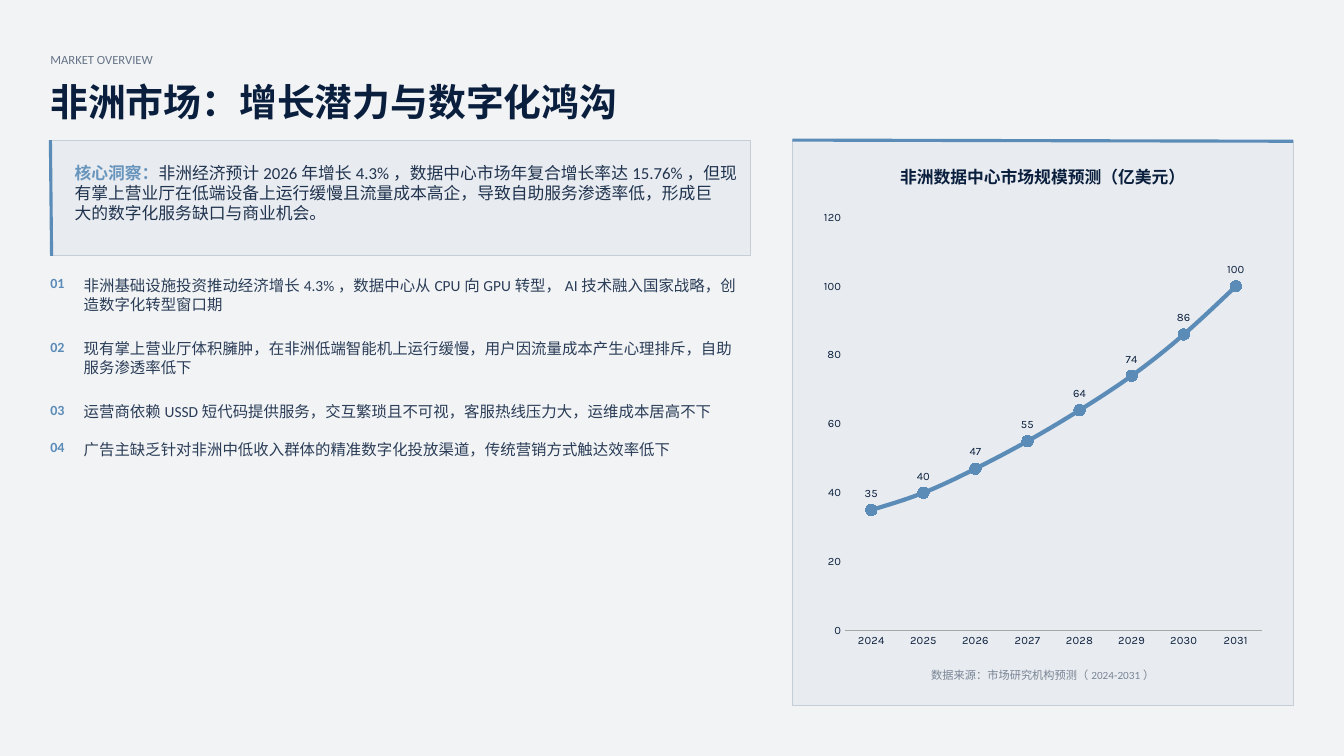
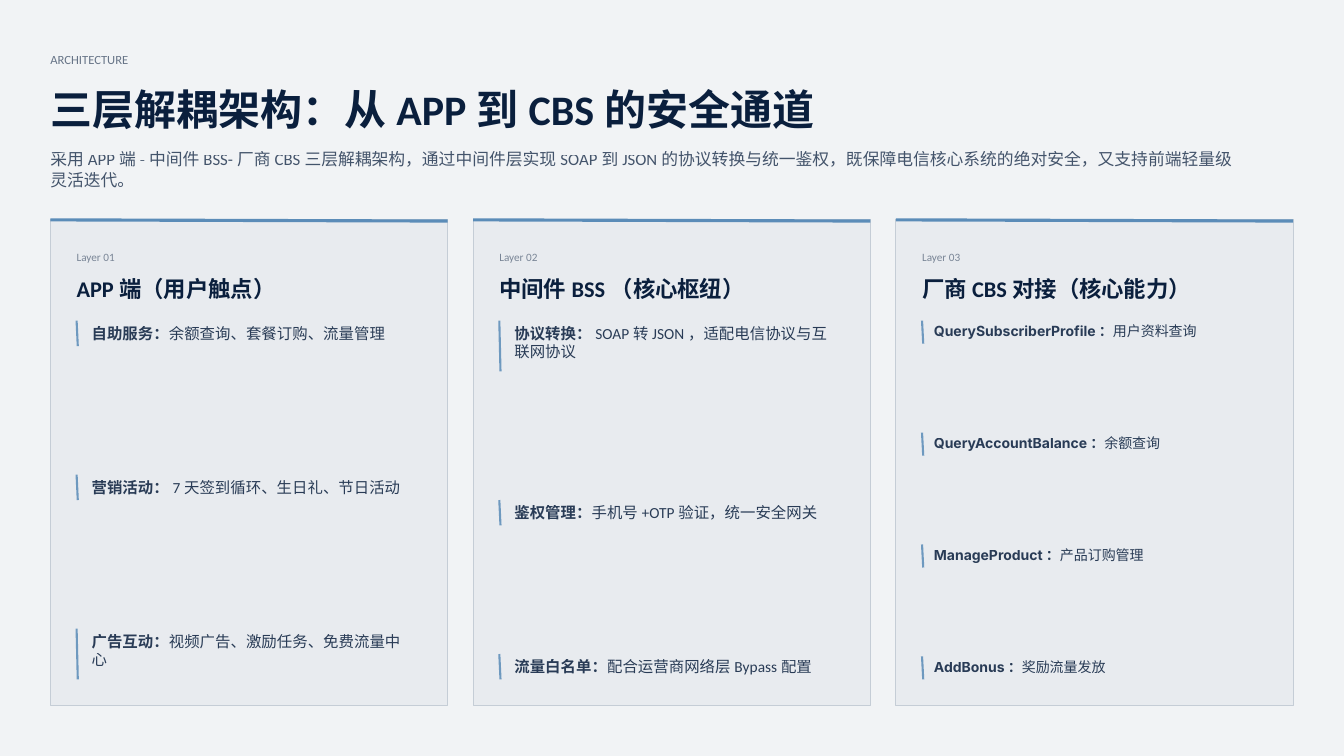
from dataclasses import dataclass

from lxml import etree
from pptx import Presentation
from pptx.chart.data import CategoryChartData
from pptx.dml.color import RGBColor
from pptx.enum.chart import XL_CHART_TYPE, XL_LABEL_POSITION, XL_MARKER_STYLE, XL_TICK_MARK
from pptx.enum.shapes import MSO_CONNECTOR, MSO_SHAPE
from pptx.enum.text import MSO_ANCHOR, PP_ALIGN
from pptx.oxml.ns import qn
from pptx.util import Cm, Pt

RECT = MSO_SHAPE.RECTANGLE
STRAIGHT = MSO_CONNECTOR.STRAIGHT
LEFT, CENTER = PP_ALIGN.LEFT, PP_ALIGN.CENTER
TOP, MIDDLE = MSO_ANCHOR.TOP, MSO_ANCHOR.MIDDLE
NO_TICK = XL_TICK_MARK.NONE

COLORS = {
    "page": "F1F3F5",
    "panel": "E8EBEF",
    "border": "C5CDD6",
    "accent": "5B8CB8",
    "ink": "0A1F3D",
    "axis": "A6A6A6",
    "black": "000000",
}
BODY_FONT, CODE_FONT, CHART_FONT = "Calibri", "Inter", "Karla"

# Shared grid, in centimetres
MARGIN = 1.27
CONTENT_W = 31.32
RIGHT = MARGIN + CONTENT_W
PANEL_BOTTOM = 17.78
SKEW = 0.03


@dataclass(frozen=True)
class Style:
    size: float
    color: str = "ink"
    alpha: int = 100
    bold: bool = False
    align: PP_ALIGN = LEFT
    anchor: MSO_ANCHOR = TOP


@dataclass(frozen=True)
class Item:
    label: str
    text: str


@dataclass(frozen=True)
class Layer:
    title: str
    items: tuple[Item, ...]
    size: float = 11
    font: str = BODY_FONT
    line_h: float = 0.64
    indent: float = 0.38
    drop: float = 0.08


EYEBROW = Style(9, alpha=60)
LEAD = Style(12, alpha=75)
INSIGHT = Style(12, alpha=90)
NUMBER = Style(10, "accent", bold=True)
POINT = Style(11, alpha=85)
CHART_TITLE = Style(12, bold=True, align=CENTER, anchor=MIDDLE)
CHART_SOURCE = Style(8, alpha=50, align=CENTER, anchor=MIDDLE)
LAYER_TAG = Style(8, alpha=50)
LAYER_TITLE = Style(16, bold=True)

POINTS = (
    "非洲基础设施投资推动经济增长4.3%，数据中心从CPU向GPU转型，AI技术融入国家战略，创\n造数字化转型窗口期",
    "现有掌上营业厅体积臃肿，在非洲低端智能机上运行缓慢，用户因流量成本产生心理排斥，自助\n服务渗透率低下",
    "运营商依赖USSD短代码提供服务，交互繁琐且不可视，客服热线压力大，运维成本居高不下",
    "广告主缺乏针对非洲中低收入群体的精准数字化投放渠道，传统营销方式触达效率低下",
)
MARKET = {"2024": 35, "2025": 40, "2026": 47, "2027": 55,
          "2028": 64, "2029": 74, "2030": 86, "2031": 100}
LAYERS = (
    Layer("APP端（用户触点）", (
        Item("自助服务：", "余额查询、套餐订购、流量管理"),
        Item("营销活动：", "7天签到循环、生日礼、节日活动"),
        Item("广告互动：", "视频广告、激励任务、免费流量中\n心"),
    )),
    Layer("中间件BSS（核心枢纽）", (
        Item("协议转换：", "SOAP转JSON，适配电信协议与互\n联网协议"),
        Item("鉴权管理：", "手机号+OTP验证，统一安全网关"),
        Item("流量白名单：", "配合运营商网络层Bypass配置"),
    )),
    Layer("厂商CBS对接（核心能力）", (
        Item("QuerySubscriberProfile：", "用户资料查询"),
        Item("QueryAccountBalance：", "余额查询"),
        Item("ManageProduct：", "产品订购管理"),
        Item("AddBonus：", "奖励流量发放"),
    ), size=10, font=CODE_FONT, line_h=0.58, indent=0.3, drop=0.05),
)


def rgb(name: str) -> RGBColor:
    return RGBColor.from_string(COLORS[name])


def set_alpha(element, percent: int) -> None:
    """Make every plain colour below the element translucent."""
    if percent < 100:
        for clr in element.iter(qn("a:srgbClr")):
            etree.SubElement(clr, qn("a:alpha")).set("val", str(percent * 1000))


def set_font(font, size: float, color: str, name: str = BODY_FONT) -> None:
    font.size, font.name = Pt(size), name
    font.color.rgb = rgb(color)


def add_text(slide, x: float, y: float, w: float, h: float, text: str, style: Style,
             label: str = "", label_font: str = BODY_FONT, label_color: str = "") -> None:
    """Text box, one paragraph a line, with an optional bold label in front."""
    tf = slide.shapes.add_textbox(Cm(x), Cm(y), Cm(w), Cm(h)).text_frame
    tf.margin_left = tf.margin_right = tf.margin_top = tf.margin_bottom = 0
    tf.word_wrap, tf.vertical_anchor = True, style.anchor
    for i, line in enumerate(text.split("\n")):
        p = tf.add_paragraph() if i else tf.paragraphs[0]
        p.alignment = style.align
        set_font(p.font, style.size, style.color)
        p.font.bold = style.bold
        if label and i == 0:
            r = p.add_run()
            r.text, r.font.bold = label, True
            if label_font != BODY_FONT:
                r.font.name = label_font
            if label_color:
                r.font.color.rgb = rgb(label_color)
        p.add_run().text = line
        set_alpha(p._p, style.alpha)


def add_panel(slide, x: float, y: float, w: float, h: float) -> None:
    sp = slide.shapes.add_shape(RECT, Cm(x), Cm(y), Cm(w), Cm(h))
    sp.shadow.inherit = False
    sp.fill.solid()
    sp.fill.fore_color.rgb = rgb("panel")
    sp.line.color.rgb = rgb("border")
    sp.line.width = Pt(0.75)


def add_rule(slide, x1: float, y1: float, x2: float, y2: float,
             width: float = 2.25, alpha: int = 100) -> None:
    cn = slide.shapes.add_connector(STRAIGHT, Cm(x1), Cm(y1), Cm(x2), Cm(y2))
    cn.line.color.rgb = rgb("accent")
    cn.line.width = Pt(width)
    set_alpha(cn._element.spPr, alpha)
    etree.SubElement(cn._element.spPr, qn("a:effectLst"))


def add_card(slide, x: float, y: float, w: float) -> None:
    """Panel down to the bottom margin with an accent rule on top."""
    add_panel(slide, x, y, w, PANEL_BOTTOM - y)
    add_rule(slide, x, y, x + w, y + SKEW)


def new_slide(prs, eyebrow: str, title: str, size: float, title_y: float):
    slide = prs.slides.add_slide(prs.slide_layouts[6])
    slide.background.fill.solid()
    slide.background.fill.fore_color.rgb = rgb("page")
    add_text(slide, MARGIN, 1.32, CONTENT_W, 0.38, eyebrow, EYEBROW)
    add_text(slide, MARGIN, title_y, CONTENT_W, 1.15, title, Style(size, bold=True))
    return slide


def add_market_chart(slide, x: float, y: float, w: float, h: float) -> None:
    data = CategoryChartData()
    data.categories = list(MARKET)
    data.add_series("市场规模", list(MARKET.values()))
    chart = slide.shapes.add_chart(
        XL_CHART_TYPE.LINE_MARKERS, Cm(x), Cm(y), Cm(w), Cm(h), data).chart
    chart.has_title = chart.has_legend = False
    set_font(chart.font, 10, "black")

    # Axes
    cat, val = chart.category_axis, chart.value_axis
    for axis in (cat, val):
        axis.major_tick_mark = axis.minor_tick_mark = NO_TICK
        set_font(axis.tick_labels.font, 8, "ink", CHART_FONT)
    cat.format.line.color.rgb = rgb("axis")
    cat.format.line.width = Pt(1)
    val.minimum_scale, val.maximum_scale, val.major_unit = 0, 120, 20
    val.format.line.fill.background()
    grid = val.major_gridlines.format.line
    grid.color.rgb = rgb("panel")
    grid.width = Pt(1)

    # Series
    plot = chart.plots[0]
    plot.vary_by_categories = False
    series = plot.series[0]
    series.smooth = True
    series.format.line.color.rgb = rgb("accent")
    series.format.line.width = Pt(3)
    marker = series.marker
    marker.style, marker.size = XL_MARKER_STYLE.CIRCLE, 8
    marker.format.fill.solid()
    marker.format.fill.fore_color.rgb = rgb("accent")
    marker.format.line.color.rgb = rgb("accent")
    labels = series.data_labels
    labels.show_value, labels.position = True, XL_LABEL_POSITION.ABOVE
    set_font(labels.font, 8, "ink", CHART_FONT)


def build_market(prs) -> None:
    slide = new_slide(prs, "MARKET OVERVIEW", "非洲市场：增长潜力与数字化鸿沟", 27, 1.98)
    top, left_w, insight_h = 3.53, 17.65, 2.92

    # Key insight
    add_panel(slide, MARGIN, top, left_w, insight_h)
    add_rule(slide, MARGIN, top, MARGIN + SKEW, top + insight_h)
    add_text(slide, 1.88, 4.09, 17.04, 1.8,
             "非洲经济预计2026年增长4.3%，数据中心市场年复合增长率达15.76%，但现\n"
             "有掌上营业厅在低端设备上运行缓慢且流量成本高企，导致自助服务渗透率低，形成巨\n"
             "大的数字化服务缺口与商业机会。",
             INSIGHT, label="核心洞察：", label_color="accent")

    # Numbered points
    y = 6.93
    for n, point in enumerate(POINTS, 1):
        h = 1.11 if "\n" in point else 0.46
        add_text(slide, MARGIN, y, 0.53, 0.43, f"{n:02}", NUMBER)
        add_text(slide, 2.11, y + 0.03, 16.8, h, point, POINT)
        y += h + 0.48

    # Chart card
    card_w, inset = 12.62, 0.56
    x = RIGHT - card_w
    add_card(slide, x, top, card_w)
    add_text(slide, x, 4.14, card_w, 0.64, "非洲数据中心市场规模预测（亿美元）", CHART_TITLE)
    add_market_chart(slide, x + inset, 5.08, card_w - 2 * inset, 11.48)
    add_text(slide, x, 16.79, card_w, 0.43, "数据来源：市场研究机构预测（2024-2031）", CHART_SOURCE)


def add_layer(slide, x: float, w: float, n: int, layer: Layer) -> None:
    top, pad = 5.54, 0.66
    add_card(slide, x, top, w)
    x, w = x + pad, w - 2 * pad
    add_text(slide, x, 6.3, w, 0.3, f"Layer {n:02}", LAYER_TAG)
    add_text(slide, x, 6.93, w, 0.66, layer.title, LAYER_TITLE)

    # Items spread evenly over the rest of the card
    y, bottom = 8.08, PANEL_BOTTOM - pad
    heights = [layer.line_h * (1 + item.text.count("\n")) for item in layer.items]
    gap = (bottom - y - sum(heights)) / (len(heights) - 1)
    for item, h in zip(layer.items, heights):
        add_rule(slide, x, y, x + SKEW, y + h, 1.5, 85)
        add_text(slide, x + layer.indent, y + layer.drop, w - layer.indent,
                 h - 2 * layer.drop, item.text, Style(layer.size, alpha=85),
                 label=item.label, label_font=layer.font)
        y += h + gap


def build_architecture(prs) -> None:
    slide = new_slide(prs, "ARCHITECTURE", "三层解耦架构：从APP到CBS的安全通道", 30, 2.11)
    add_text(slide, MARGIN, 3.76, CONTENT_W, 1.12,
             "采用APP端-中间件BSS-厂商CBS三层解耦架构，通过中间件层实现SOAP到JSON的协议转换与"
             "统一鉴权，既保障电信核心系统的绝对安全，又支持前端轻量级\n灵活迭代。", LEAD)
    gap = 0.64
    w = (CONTENT_W - gap * (len(LAYERS) - 1)) / len(LAYERS)
    for i, layer in enumerate(LAYERS):
        add_layer(slide, MARGIN + i * (w + gap), w, i + 1, layer)


def main() -> None:
    prs = Presentation()
    prs.slide_width, prs.slide_height = Cm(33.87), Cm(19.05)
    build_market(prs)
    build_architecture(prs)
    prs.save("out.pptx")


if __name__ == "__main__":
    main()
